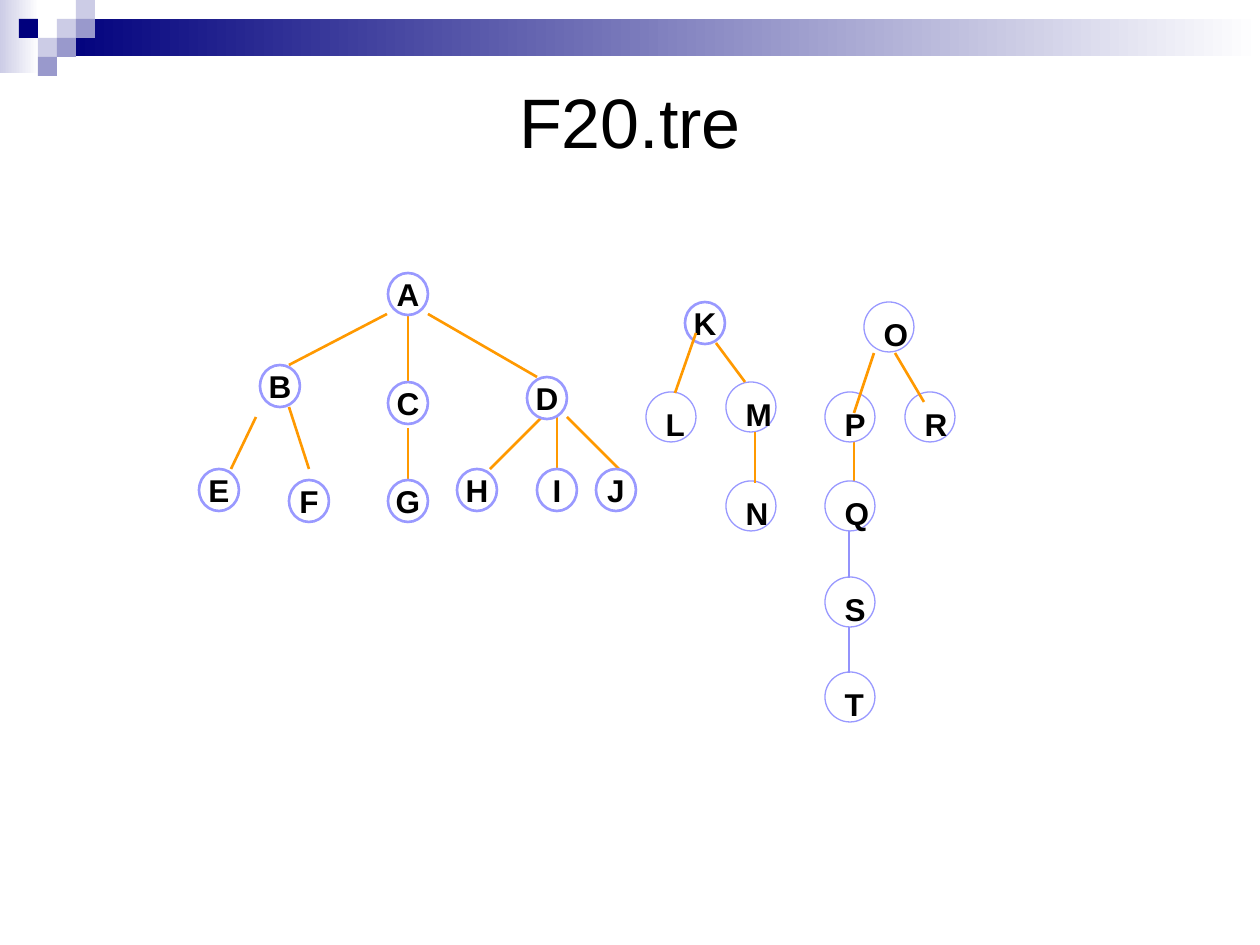
from lxml.etree import SubElement
from pptx import Presentation
from pptx.dml.color import RGBColor
from pptx.enum.shapes import MSO_CONNECTOR, MSO_SHAPE
from pptx.enum.text import MSO_ANCHOR, PP_ALIGN
from pptx.oxml.ns import qn
from pptx.util import Emu, Pt

PX = 914400 / 126
WHITE = RGBColor(0xFF, 0xFF, 0xFF)
BLACK = RGBColor(0x00, 0x00, 0x00)
NAVY = RGBColor(0x00, 0x00, 0x7D)
PALE = RGBColor(0xCC, 0xCC, 0xE6)
MID = RGBColor(0x99, 0x99, 0xCC)
ORANGE = RGBColor(0xFF, 0x99, 0x00)
OUTLINE = RGBColor(0x99, 0x99, 0xFF)
CHAIN = RGBColor(0x93, 0x93, 0xFC)

SMALL = {"width": 40, "height": 42, "line": 1.5, "wrap": False,
         "anchor": MSO_ANCHOR.MIDDLE, "align": PP_ALIGN.CENTER}
LARGE = {"width": 50, "height": 50, "line": 0.75, "wrap": True,
         "anchor": MSO_ANCHOR.TOP, "align": PP_ALIGN.JUSTIFY}
BRANCH = (ORANGE, 1.5)
LINK = (CHAIN, 0.75)


def px(*lengths):
    return [Emu(round(length * PX)) for length in lengths]


def write(frame, text, align, font):
    para = frame.paragraphs[0]
    para.alignment = align
    span = para.add_run()
    span.text = text
    for name, value in font.items():
        setattr(span.font, name, value)
    span.font.color.rgb = BLACK


def add_block(page, left, top, width, height, *colors):
    """Borderless rectangle: one colour is solid, two run left to right."""
    block = page.shapes.add_shape(MSO_SHAPE.RECTANGLE, *px(left, top, width, height))
    block.shadow.inherit = False
    block.line.fill.background()
    if len(colors) == 1:
        block.fill.solid()
        block.fill.fore_color.rgb = colors[0]
        return
    block.fill.gradient()
    block.fill.gradient_angle = 0
    for stop, position, color in zip(block.fill.gradient_stops, (0, 1), colors):
        stop.position = position
        stop.color.rgb = color


def add_header(page, left, top, width):
    unit = 19
    add_block(page, left, top, 39, 73, PALE, WHITE)
    add_block(page, left + 3 * unit, top + unit, width - 3 * unit, 37, NAVY, WHITE)
    squares = [(3, 1, PALE), (4, 0, PALE), (4, 1, MID), (2, 2, PALE),
               (1, 1, NAVY), (3, 2, MID), (2, 3, MID)]
    for column, row, color in squares:
        add_block(page, left + column * unit, top + row * unit, unit, unit, color)


def add_title(page, left, top, width, height, text):
    box = page.shapes.add_textbox(*px(left, top, width, height))
    box.text_frame.word_wrap = True
    box.text_frame.vertical_anchor = MSO_ANCHOR.MIDDLE
    write(box.text_frame, text, PP_ALIGN.CENTER, {"size": Pt(40), "name": "Arial"})


def add_node(page, left, top, letter, style):
    node = page.shapes.add_shape(
        MSO_SHAPE.OVAL, *px(left, top, style["width"], style["height"]))
    node.shadow.inherit = False
    node.fill.solid()
    node.fill.fore_color.rgb = WHITE
    node.line.color.rgb = OUTLINE
    node.line.width = Pt(style["line"])
    frame = node.text_frame
    frame.word_wrap = style["wrap"]
    frame.vertical_anchor = style["anchor"]
    write(frame, letter, style["align"],
          {"size": Pt(18), "name": "Arial", "bold": True})


def add_edge(page, left, top, ends, style):
    x1, y1, x2, y2 = ends
    edge = page.shapes.add_connector(
        MSO_CONNECTOR.STRAIGHT, *px(left + x1, top + y1, left + x2, top + y2))
    edge.line.color.rgb = style[0]
    edge.line.width = Pt(style[1])
    SubElement(edge._element.spPr, qn("a:effectLst"))


def add_tree(page, left, top, nodes, back=(), front=(), links=()):
    """Nodes and edges relative to left, top; back edges lie under the nodes."""
    for ends in back:
        add_edge(page, left, top, ends, BRANCH)
    for letter, x, y, style in nodes:
        add_node(page, left + x, top + y, letter, style)
    for ends in front:
        add_edge(page, left, top, ends, BRANCH)
    for ends in links:
        add_edge(page, left, top, ends, LINK)


def main():
    deck = Presentation()
    deck.slide_width, deck.slide_height = px(1260, 945)
    page = deck.slides.add_slide(deck.slide_layouts[6])
    add_header(page, 0, 0, 1260)
    add_title(page, 63, 63, 1134, 116, "F20.tre")
    add_tree(
        page, 199, 273,
        nodes=[("A", 189, 0, SMALL), ("B", 61, 92, SMALL), ("C", 189, 109, SMALL),
               ("G", 189, 207, SMALL), ("F", 90, 207, SMALL), ("E", 0, 196, SMALL),
               ("H", 258, 196, SMALL), ("I", 338, 196, SMALL),
               ("J", 397, 196, SMALL), ("D", 328, 104, SMALL)],
        back=[(188, 41, 90, 92), (229, 41, 338, 104), (209, 41, 209, 114),
              (209, 155, 209, 206), (358, 144, 358, 196), (90, 134, 110, 196),
              (57, 144, 32, 196), (368, 144, 420, 196), (343, 144, 291, 196)])
    add_tree(
        page, 646, 302,
        nodes=[("K", 39, 0, SMALL), ("L", 0, 90, LARGE),
               ("M", 80, 80, LARGE), ("N", 80, 179, LARGE)],
        front=[(70, 41, 99, 80), (109, 130, 109, 181), (50, 31, 29, 91)])
    add_tree(
        page, 825, 302,
        nodes=[("O", 39, 0, LARGE), ("P", 0, 90, LARGE), ("Q", 0, 179, LARGE),
               ("R", 80, 90, LARGE), ("S", 0, 275, LARGE), ("T", 0, 370, LARGE)],
        back=[(29, 140, 29, 201)],
        front=[(49, 51, 29, 111), (70, 51, 99, 100)],
        links=[(24, 229, 24, 276), (24, 325, 24, 371)])
    deck.save("out.pptx")


if __name__ == "__main__":
    main()
